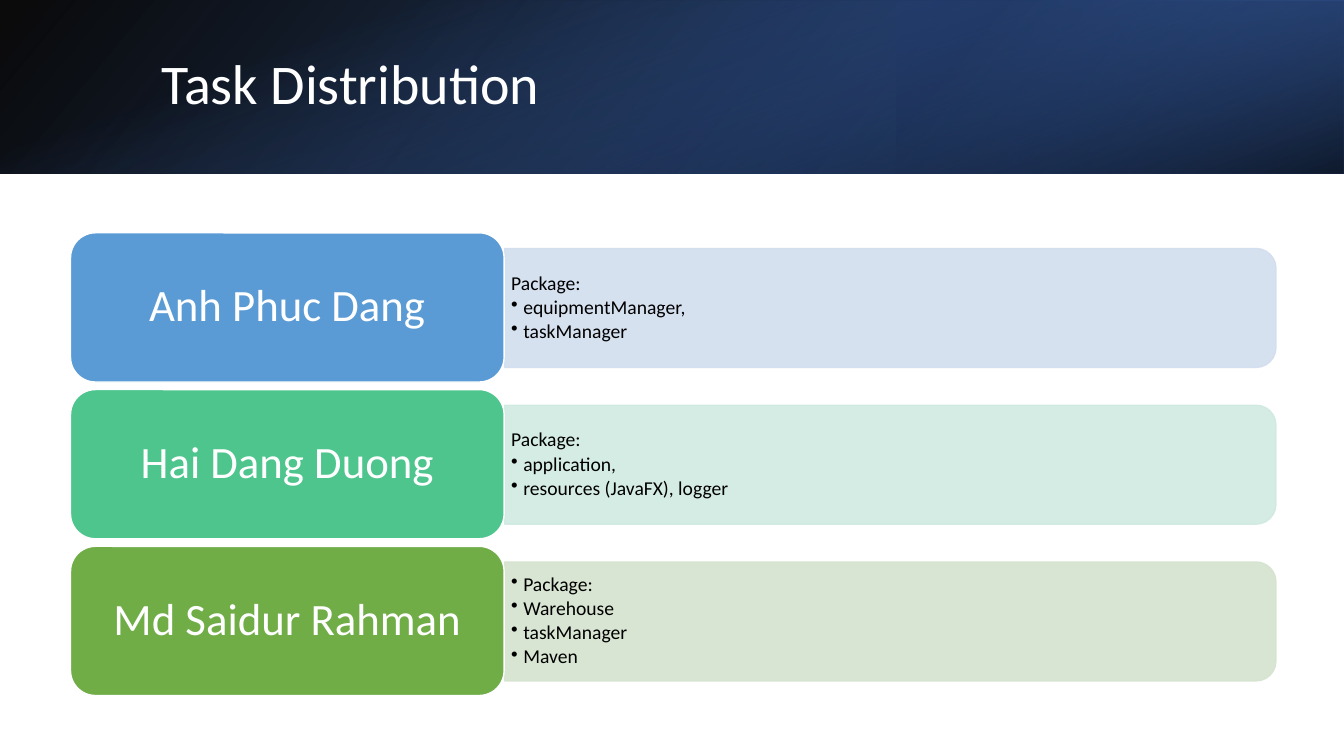
from lxml import etree
from pptx import Presentation
from pptx.dml.color import RGBColor
from pptx.enum import shapes, text
from pptx.oxml import ns
from pptx.util import Inches, Pt


def paint(color, rgb, opacity=100):
    color.rgb = RGBColor.from_string(rgb)
    if opacity < 100:
        for srgb in color._xFill.iter(ns.qn("a:srgbClr")) if hasattr(color, "_xFill") else []:
            etree.SubElement(srgb, ns.qn("a:alpha")).set("val", str(opacity * 1000))


def write(frame, lines, size, rgb, margins, space_after=0, align=text.PP_ALIGN.LEFT):
    layout = {"word_wrap": True, "vertical_anchor": text.MSO_ANCHOR.MIDDLE,
              "margin_left": Inches(margins[0]), "margin_right": Inches(margins[0]),
              "margin_top": Inches(margins[1]), "margin_bottom": Inches(margins[1])}
    for key, value in layout.items():
        setattr(frame, key, value)
    for i, line in enumerate(lines):
        paragraph = frame.paragraphs[0] if i == 0 else frame.add_paragraph()
        for key, value in {"alignment": align, "line_spacing": 0.9,
                           "space_after": Pt(space_after)}.items():
            setattr(paragraph, key, value)
        run = paragraph.add_run()
        run.text = line
        for key, value in {"name": "Calibri", "size": Pt(size)}.items():
            setattr(run.font, key, value)
        paint(run.font.color, rgb)


deck = Presentation()
deck.slide_width, deck.slide_height = Inches(13.33), Inches(7.5)
slide = deck.slides.add_slide(deck.slide_layouts[6])

header_layers = [
    ((0, 0, 13.33, 1.72), 0, True, 140, [(0, "000000", 96), (100, "2F5597", 100)]),
    ((8.89, 0, 4.44, 1.72), 180, True, 320, [(19, "203864", 68), (100, "4472C4", 79)]),
    ((5.8, -5.8, 1.72, 13.33), 90, False, 340, [(23, "4472C4", 0), (99, "000000", 74)]),
]
for box, rotation, flipped, angle, stops in header_layers:
    layer = slide.shapes.add_shape(shapes.MSO_SHAPE.RECTANGLE, *map(Inches, box))
    layer.shadow.inherit = False
    layer.rotation = rotation
    if flipped:
        layer._element.spPr.xfrm.set("flipH", "1")
    layer.line.fill.background()
    layer.fill.gradient()
    layer.fill.gradient_angle = 360 - angle
    for stop, (position, rgb, opacity) in zip(layer.fill.gradient_stops, stops):
        stop.position = position / 100
        paint(stop.color, rgb)
    for srgb, (_, _, opacity) in zip(layer._element.spPr.iter(ns.qn("a:srgbClr")), stops):
        etree.SubElement(srgb, ns.qn("a:alpha")).set("val", str(opacity * 1000))

title = slide.shapes.add_textbox(Inches(1.5), Inches(0.38), Inches(10.98), Inches(0.96))
write(title.text_frame, ["Task Distribution"], 40, "FFFFFF", (0.1, 0.05))

members = [
    ("Anh Phuc Dang", "5B9BD5", "D2DEEF", ["Package:", "equipmentManager,", "taskManager"], 1),
    ("Hai Dang Duong", "4DC58D", "D0EAE1",
     ["Package:", "application,", "resources (JavaFX), logger"], 1),
    ("Md Saidur Rahman", "70AD47", "D5E3CF",
     ["Package:", "Warehouse", "taskManager", "Maven"], 0),
]
for row, (member, strong, pale, tasks, first_bullet) in enumerate(members):
    top = 2.31 + 1.555 * row

    panel = slide.shapes.add_shape(shapes.MSO_SHAPE.ROUND_2_SAME_RECTANGLE, Inches(8.24),
                                   Inches(top - 3.08), Inches(1.18), Inches(7.65))
    panel.rotation = 90
    card = slide.shapes.add_shape(shapes.MSO_SHAPE.ROUNDED_RECTANGLE, Inches(0.7),
                                  Inches(top), Inches(4.3), Inches(1.48))
    for part, fill, outline in [(panel, pale, pale), (card, strong, "FFFFFF")]:
        part.shadow.inherit = False
        part.fill.solid()
        paint(part.fill.fore_color, fill)
        paint(part.line.color, outline)
        part.line.width = Pt(1)
    for srgb in panel._element.spPr.iter(ns.qn("a:srgbClr")):
        etree.SubElement(srgb, ns.qn("a:alpha")).set("val", "90000")
    write(card.text_frame, [member], 32, "FFFFFF", (0.13, 0.07), align=text.PP_ALIGN.CENTER)

    task_list = slide.shapes.add_textbox(Inches(5.01), Inches(top + 0.21),
                                         Inches(7.59), Inches(1.07))
    write(task_list.text_frame, tasks, 14, "000000", (0.06, 0.03), space_after=2.1)
    for i, paragraph in enumerate(task_list.text_frame.paragraphs):
        properties = paragraph._p.get_or_add_pPr()
        properties.set("marL", str(Inches(0.12)))
        properties.set("indent", str(Inches(-0.12)))
        if i >= first_bullet:
            etree.SubElement(properties, ns.qn("a:buChar")).set("char", "•")

deck.save("out.pptx")
